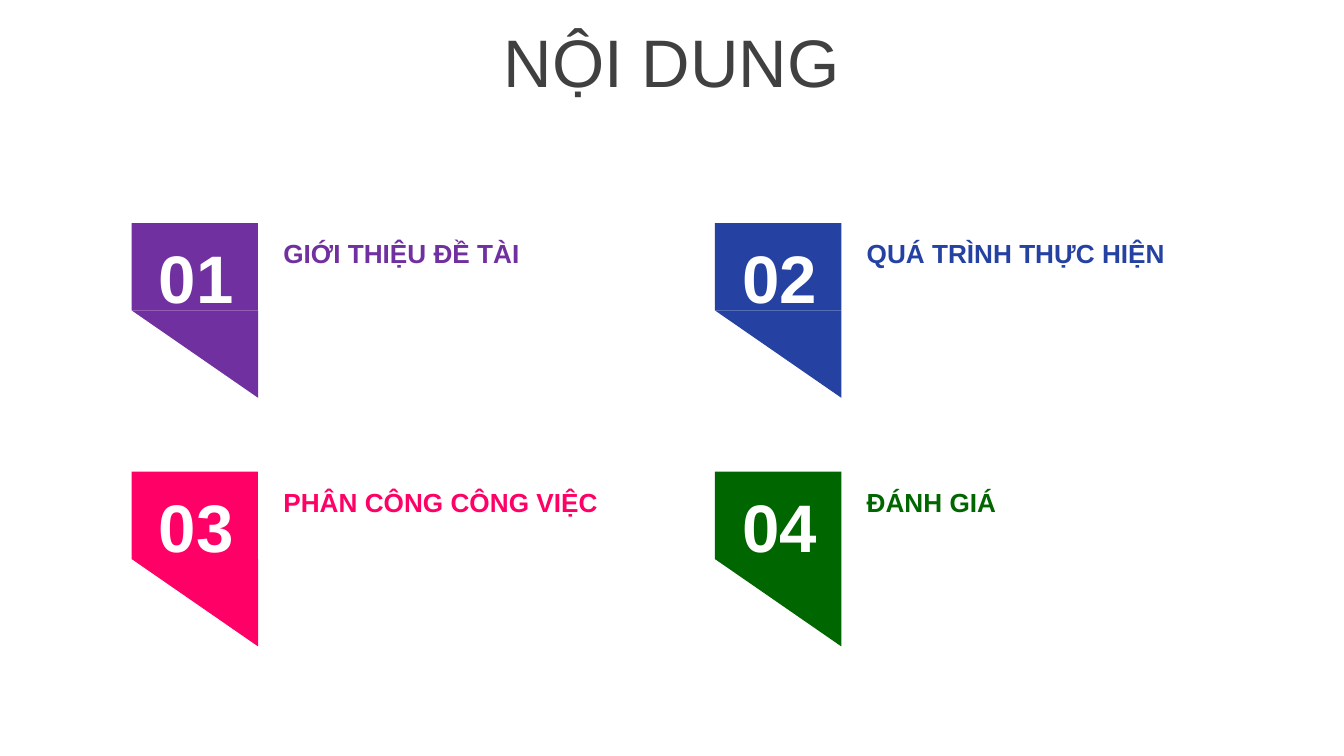
import pptx
import pptx.dml.color
import pptx.enum.shapes
import pptx.enum.text
import pptx.util

COLORS = {
    "title": "404040",
    "number": "FFFFFF",
    "purple": "7030A0",
    "blue": "2542A2",
    "pink": "FF0066",
    "green": "006600",
}
FONT = "Arial"
TOPICS = [
    ("GIỚI THIỆU ĐỀ TÀI", "purple"),
    ("QUÁ TRÌNH THỰC HIỆN", "blue"),
    ("PHÂN CÔNG CÔNG VIỆC", "pink"),
    ("ĐÁNH GIÁ", "green"),
]
COLUMNS = 2
GRID_LEFT, GRID_TOP = 0.98, 1.66
COLUMN_STEP, ROW_STEP = 4.34, 1.85
FLAG_WIDTH, FLAG_HALF_HEIGHT = 0.94, 0.65


def rgb(color):
    return pptx.dml.color.RGBColor.from_string(COLORS[color])


def inches(*lengths):
    return [pptx.util.Inches(length) for length in lengths]


def add_label(slide, text, box, size, color, bold=True, centered=False):
    """Add one line of text; box is left, top, width and height in inches."""
    frame = slide.shapes.add_textbox(*inches(*box)).text_frame
    frame.word_wrap = True
    frame.text = text
    paragraph = frame.paragraphs[0]
    if centered:
        paragraph.alignment = pptx.enum.text.PP_ALIGN.CENTER
    font = paragraph.runs[0].font
    font.name = FONT
    font.size = pptx.util.Pt(size)
    font.bold = bold
    font.color.rgb = rgb(color)
    return frame


def add_flag(slide, left, top, color):
    """Group a rectangle with the slanted tip that hangs below it."""
    flag = slide.shapes.add_group_shape()
    kinds = pptx.enum.shapes.MSO_SHAPE
    body, tip = [
        flag.shapes.add_shape(
            kind, *inches(left, top + row * FLAG_HALF_HEIGHT,
                          FLAG_WIDTH, FLAG_HALF_HEIGHT))
        for row, kind in enumerate((kinds.RECTANGLE, kinds.ISOSCELES_TRIANGLE))
    ]
    tip.adjustments[0] = 0
    tip.rotation = 180
    for part in (body, tip):
        part.shadow.inherit = False
        part.fill.solid()
        part.fill.fore_color.rgb = rgb(color)
        part.line.fill.background()


def add_topic(slide, index, heading, color):
    row, column = divmod(index, COLUMNS)
    left = GRID_LEFT + column * COLUMN_STEP
    top = GRID_TOP + row * ROW_STEP
    add_flag(slide, left, top, color)
    heading_frame = add_label(
        slide, heading, (left + 1.03, top + 0.06, 2.91, 0.34), 14, color)
    number_frame = add_label(
        slide, f"{index + 1:02}", (left + 0.09, top + 0.05, 0.78, 0.71),
        36, "number", centered=True)
    for frame in (heading_frame, number_frame):
        frame.auto_size = pptx.enum.text.MSO_AUTO_SIZE.SHAPE_TO_FIT_TEXT


def main():
    presentation = pptx.Presentation()
    presentation.slide_width = pptx.util.Inches(10)
    presentation.slide_height = presentation.slide_width * 9 // 16
    slide = presentation.slides.add_slide(presentation.slide_layouts[6])

    title = add_label(slide, "NỘI DUNG", (0, 0.14, 10, 0.63), 36, "title",
                      bold=False, centered=True)
    title.vertical_anchor = pptx.enum.text.MSO_ANCHOR.MIDDLE
    for index, (heading, color) in enumerate(TOPICS):
        add_topic(slide, index, heading, color)

    presentation.save("out.pptx")


if __name__ == "__main__":
    main()
